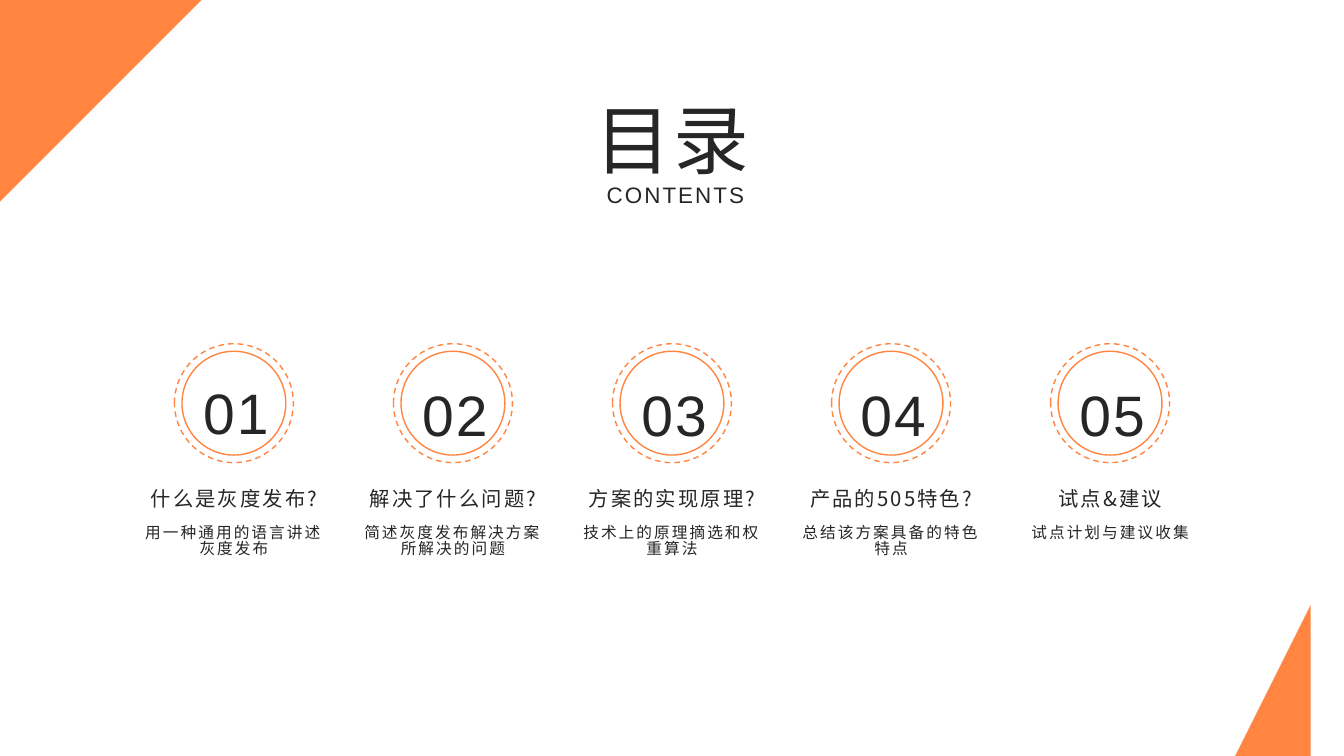
from dataclasses import dataclass

from lxml import etree
from pptx import Presentation
from pptx.dml.color import RGBColor
from pptx.enum.dml import MSO_LINE, MSO_PATTERN
from pptx.enum.shapes import MSO_SHAPE
from pptx.enum.text import MSO_ANCHOR, PP_ALIGN
from pptx.oxml.ns import qn
from pptx.util import Inches, Pt

OVAL = MSO_SHAPE.OVAL
DASH = MSO_LINE.DASH
STRIPE = MSO_PATTERN.LIGHT_UPWARD_DIAGONAL
MIDDLE, TOP = MSO_ANCHOR.MIDDLE, MSO_ANCHOR.TOP
CENTER = PP_ALIGN.CENTER

COLOR = {"orange": "FF8541", "white": "FFFFFF", "ink": "262626"}
LATIN, HAN = "Arial", "Noto Sans CJK SC"
WIDE, HIGH = 13.33, 7.5
FIRST, SPAN = 2.32, 8.69  # centre of first item, distance to last


@dataclass
class Style:
    size: float
    font: str
    space: float = 1.0
    anchor: MSO_ANCHOR = MIDDLE
    wrap: bool = False


@dataclass
class Item:
    head: str
    note: str
    top: float = 3.69


TITLE = Style(54, HAN, 0.95)
LABEL = Style(16, LATIN)
COUNT = Style(40.7, LATIN, 1.2)
HEAD = Style(14.5, HAN, 0.9, TOP)
NOTE = Style(11.2, HAN, 0.84, TOP, True)

ITEMS = [
    Item("什么是灰度发布?", "用一种通用的语言讲述灰度发布", 3.67),
    Item("解决了什么问题?", "简述灰度发布解决方案所解决的问题"),
    Item("方案的实现原理?", "技术上的原理摘选和权重算法"),
    Item("产品的505特色?", "总结该方案具备的特色特点"),
    Item("试点&建议", "试点计划与建议收集"),
]

WEDGE = [(0, 0), (1.69, 0), (0, 1.79)]
BAND = [(1.72, 0), (1.83, 0), (0, 1.96), (0, 1.83)]


def paint(name: str) -> RGBColor:
    return RGBColor.from_string(COLOR[name])


def add_text(slide, text: str, mid: float, top: float, wide: float,
             high: float, style: Style) -> None:
    box = slide.shapes.add_textbox(Inches(mid - wide / 2), Inches(top),
                                   Inches(wide), Inches(high))
    frame = box.text_frame
    frame.word_wrap = style.wrap
    frame.vertical_anchor = style.anchor
    frame.text = text
    para = frame.paragraphs[0]
    para.alignment = CENTER
    para.line_spacing = style.space
    run = para.runs[0]
    run.font.size = Pt(style.size)
    run.font.name = style.font
    run.font.color.rgb = paint("ink")
    props = run._r.get_or_add_rPr()
    props.set("spc", "150")
    east = etree.Element(qn("a:ea"), typeface=style.font)
    props.find(qn("a:latin")).addnext(east)


def add_ring(slide, mid: float, size: float, dashed: bool) -> None:
    ring = slide.shapes.add_shape(OVAL, Inches(mid - size / 2),
                                  Inches(4 - size / 2),
                                  Inches(size), Inches(size))
    ring.shadow.inherit = False
    ring.fill.solid()
    ring.fill.fore_color.rgb = paint("white")
    ring.line.color.rgb = paint("orange")
    ring.line.width = Pt(1)
    if dashed:
        ring.line.dash_style = DASH


def add_patch(slide, points: list[tuple[float, float]], striped: bool) -> None:
    path = slide.shapes.build_freeform(*points[0], scale=Inches(1))
    path.add_line_segments(points[1:], close=True)
    patch = path.convert_to_shape()
    patch.shadow.inherit = False
    patch.line.fill.background()
    if striped:
        patch.fill.patterned()
        patch.fill.pattern = STRIPE
        patch.fill.back_color.rgb = paint("white")
    else:
        patch.fill.solid()
    patch.fill.fore_color.rgb = paint("orange")


def main() -> None:
    deck = Presentation()
    deck.slide_width, deck.slide_height = Inches(WIDE), Inches(HIGH)
    slide = deck.slides.add_slide(deck.slide_layouts[6])

    # Corners: top left, then turned round to bottom right
    for points, striped in ((WEDGE, False), (BAND, True)):
        add_patch(slide, points, striped)
        add_patch(slide, [(WIDE - x, HIGH - y) for x, y in points], striped)

    # Title
    add_text(slide, "CONTENTS", 6.7, 1.75, 2.16, 0.37, LABEL)
    add_text(slide, "目录", 6.67, 0.91, 2.09, 1.01, TITLE)

    # Agenda items
    for i, item in enumerate(ITEMS):
        mid = FIRST + SPAN * i / (len(ITEMS) - 1)
        add_ring(slide, mid, 1.18, True)
        add_ring(slide, mid, 1.03, False)
        add_text(slide, f"{i + 1:02}", mid + 0.02, item.top, 1.13, 0.7, COUNT)
        add_text(slide, item.head, mid, 4.8, 1.98, 0.37, HEAD)
        add_text(slide, item.note, mid, 5.17, 1.98, 0.5, NOTE)

    deck.save("out.pptx")


if __name__ == "__main__":
    main()
